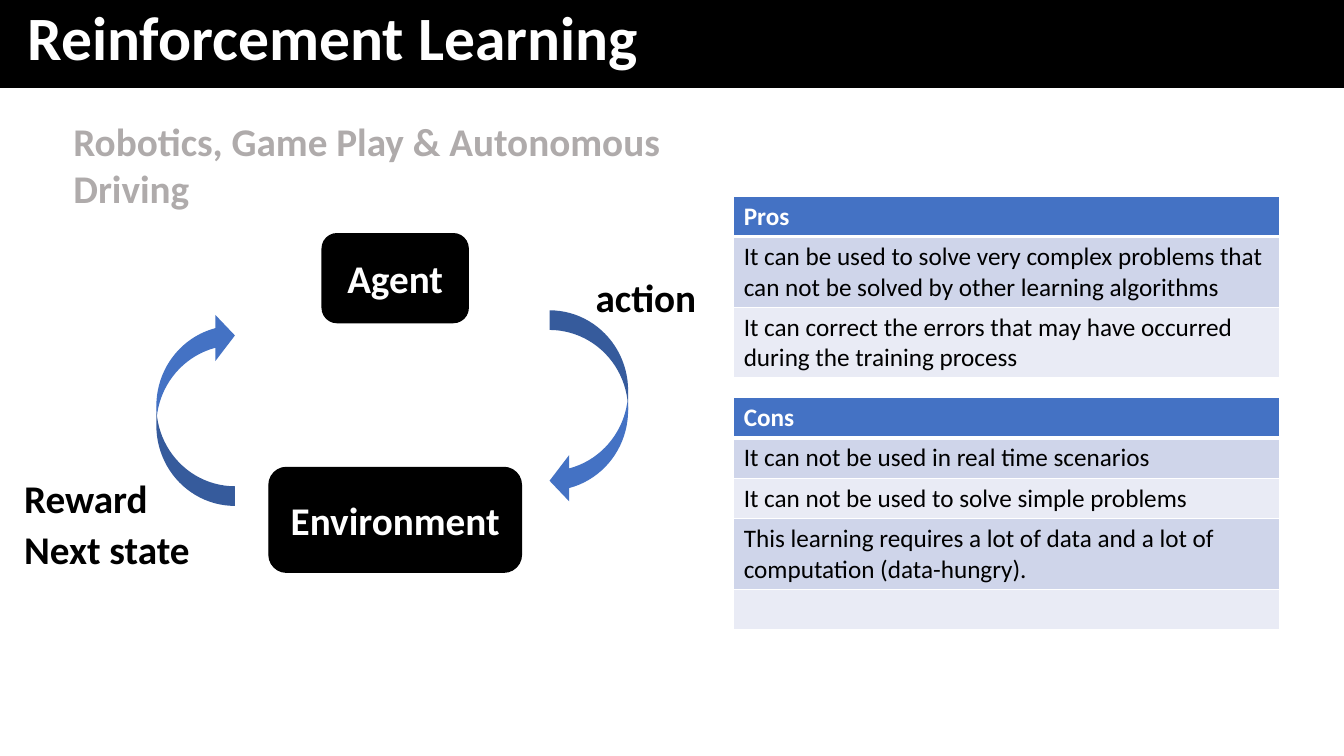
import pptx
import pptx.util
import pptx.dml.color
import pptx.enum.shapes
import pptx.enum.text
import pptx.oxml
import pptx.oxml.ns

Cm, Pt = pptx.util.Cm, pptx.util.Pt
SHAPE = pptx.enum.shapes.MSO_SHAPE
TEXT = pptx.enum.text

HUES = {
    "black": "000000",
    "white": "FFFFFF",
    "grey": "AFABAB",
    "blue": "4472C4",
    "dark": "CFD5EA",
    "pale": "E9EBF5",
}
ROW, TALL = 1.02, 1.78


def hue(name):
    return pptx.dml.color.RGBColor.from_string(HUES[name])


def write(para, text, size, color, bold=True):
    run = para.add_run()
    run.text = text
    run.font.name = "Calibri"
    run.font.size = Pt(size)
    run.font.bold = bold
    run.font.color.rgb = hue(color)


def label(slide, box, text, color="black", size=28):
    frame = slide.shapes.add_textbox(*map(Cm, box)).text_frame
    frame.word_wrap = False
    frame.auto_size = TEXT.MSO_AUTO_SIZE.SHAPE_TO_FIT_TEXT
    write(frame.paragraphs[0], text, size, color)


def block(slide, kind, box, color):
    shape = slide.shapes.add_shape(kind, *map(Cm, box))
    shape.shadow.inherit = False
    shape.fill.solid()
    shape.fill.fore_color.rgb = hue(color)
    shape.line.fill.background()
    return shape


def solid(slide, kind, box):
    """Black block with a thin black outline."""
    shape = block(slide, kind, box, "black")
    shape.line.color.rgb = hue("black")
    shape.line.width = Pt(1)
    return shape


def node(slide, box, text):
    frame = solid(slide, SHAPE.ROUNDED_RECTANGLE, box).text_frame
    frame.vertical_anchor = TEXT.MSO_ANCHOR.MIDDLE
    frame.word_wrap = True
    para = frame.paragraphs[0]
    para.alignment = TEXT.PP_ALIGN.CENTER
    write(para, text, 28, "white")


def arrow(slide, box, turn):
    shape = block(slide, SHAPE.CURVED_UP_ARROW, box, "blue")
    shape.rotation = turn
    shape.adjustments[1] = 0.59
    shape._element.spPr.find(pptx.oxml.ns.qn("a:xfrm")).set("flipV", "1")


def header(slide, box):
    left, top, wide, high = box
    solid(slide, SHAPE.RECTANGLE, box)
    label(slide, (left + 0.44, top, 16.05, 3.68),
          "Reinforcement Learning", "white", 44)


def cycle(slide, box):
    """Agent and environment, joined by a loop of two arrows."""
    left, top, wide, high = box
    mid = left + wide / 2
    for text, drop, width, height in [("Agent", 0, 3.68, 2.24),
                                      ("Environment", 5.89, 6.36, 2.64)]:
        node(slide, (mid - width / 2, top + drop, width, height), text)
    for shift, drop, turn in [(2.44, 3.38, 90), (-7.47, 3.43, 270)]:
        arrow(slide, (mid + shift, top + drop, 4.88, 1.98), turn)
    for text, shift, drop, width in [("action", 14.4, 0.87, 3.1),
                                     ("Reward", 0, 5.94, 3.66),
                                     ("Next state", 0, 7.22, 4.75)]:
        label(slide, (left + shift, top + drop, width, 3), text)


def border(cell, foot):
    """White cell edges; foot is the width of the lower one in points."""
    props = cell._tc.get_or_add_tcPr()
    for side, size in zip("LRTB", (1, 1, 1, foot)):
        props.append(pptx.oxml.parse_xml(
            f'<a:ln{side} {pptx.oxml.ns.nsdecls("a")} w="{Pt(size)}">'
            f'<a:solidFill><a:srgbClr val="{HUES["white"]}"/></a:solidFill>'
            f'</a:ln{side}>'))


def points(slide, box, rows):
    """One-column table: a heading over banded rows of (text, height)."""
    left, top, wide = box
    high = sum(height for text, height in rows)
    table = slide.shapes.add_table(
        len(rows), 1, *map(Cm, (left, top, wide, high))).table
    for i, (text, height) in enumerate(rows):
        table.rows[i].height = Cm(height)
        cell = table.cell(i, 0)
        head = i == 0
        border(cell, 3 if head else 1)
        cell.fill.solid()
        band = "dark" if i % 2 else "pale"
        cell.fill.fore_color.rgb = hue("blue" if head else band)
        para = cell.text_frame.paragraphs[0]
        para.font.size = Pt(18)
        if text:
            write(para, text, 18, "white" if head else "black", head)


def main():
    deck = pptx.Presentation()
    deck.slide_width, deck.slide_height = Cm(33.87), Cm(19.05)
    slide = deck.slides.add_slide(deck.slide_layouts[6])
    cycle(slide, (0.36, 5.89, 19.2, 8.53))
    label(slide, (1.6, 2.84, 18.06, 3),
          "Robotics, Game Play & Autonomous Driving", "grey")
    points(slide, (18.49, 10.01, 13.76), [
        ("Cons", ROW),
        ("It can not be used in real time scenarios", ROW),
        ("It can not be used to solve simple problems", ROW),
        ("This learning requires a lot of data and a lot of "
         "computation (data-hungry).", TALL),
        ("", ROW),
    ])
    points(slide, (18.49, 4.94, 13.76), [
        ("Pros", ROW),
        ("It can be used to solve very complex problems that can not be "
         "solved by other learning algorithms", TALL),
        ("It can correct the errors that may have occurred during the "
         "training process", TALL),
    ])
    header(slide, (0, -0.15, 33.87, 2.34))
    deck.save("out.pptx")


if __name__ == "__main__":
    main()
